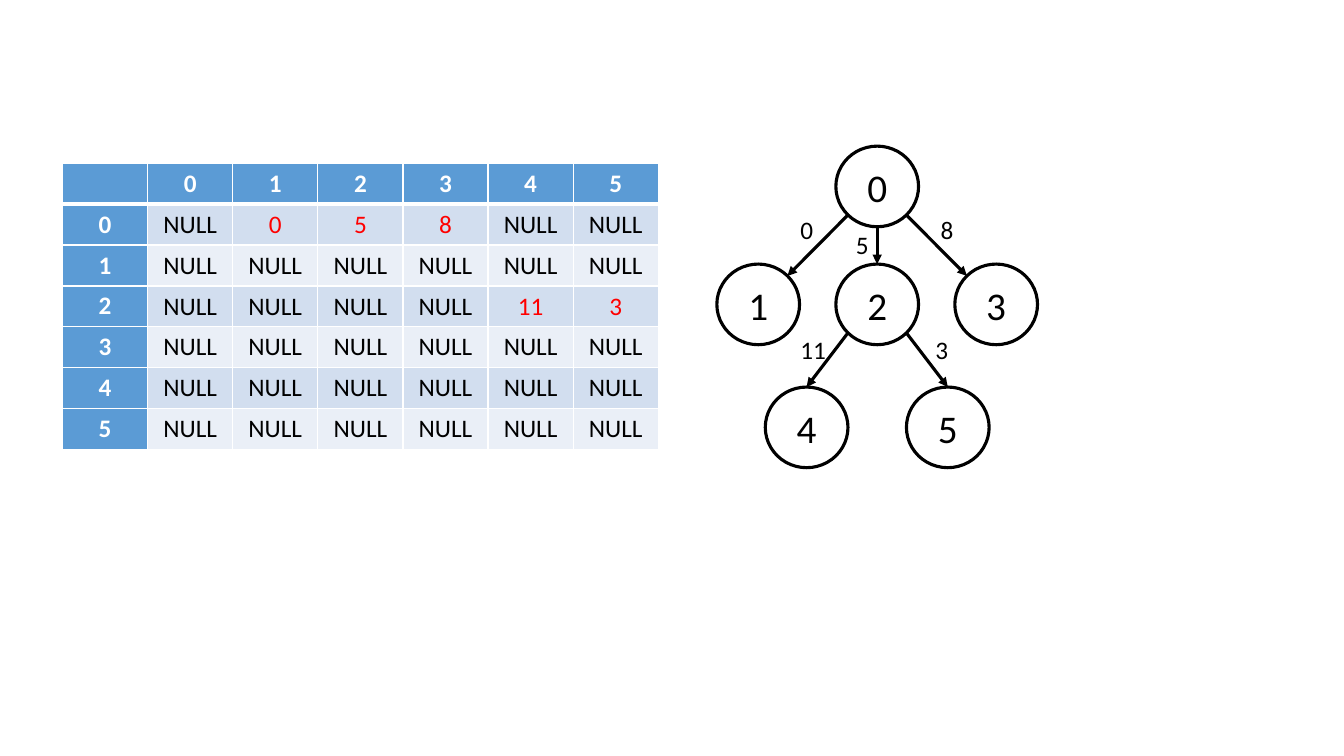
"""Build a slide showing a weighted tree beside its adjacency matrix."""
import math
from typing import NamedTuple

import lxml.etree
import pptx
import pptx.dml.color
import pptx.enum.shapes
import pptx.enum.text
import pptx.oxml.ns
import pptx.util

Inches = pptx.util.Inches
Pt = pptx.util.Pt
RGBColor = pptx.dml.color.RGBColor
qn = pptx.oxml.ns.qn

BLACK = RGBColor(0x00, 0x00, 0x00)
WHITE = RGBColor(0xFF, 0xFF, 0xFF)
RED = RGBColor(0xFF, 0x00, 0x00)
BLUE = RGBColor(0x5B, 0x9B, 0xD5)
BANDS = (RGBColor(0xD2, 0xDE, 0xEF), RGBColor(0xEA, 0xEF, 0xF7))

FONT = "Calibri"
NODE_W, NODE_H = 0.82, 0.8
LABEL_H = 0.4
TABLE_LEFT, TABLE_TOP, TABLE_W, ROW_H = 0.62, 1.62, 5.91, 0.4


class Node(NamedTuple):
    left: float
    top: float


class Edge(NamedTuple):
    parent: int
    child: int
    weight: int
    leave_angle: int
    enter_angle: int
    label_left: float
    label_top: float
    label_width: float = 0.41


NODES = [
    Node(8.29, 1.45),
    Node(7.11, 2.62),
    Node(8.29, 2.62),
    Node(9.47, 2.62),
    Node(7.59, 3.84),
    Node(8.99, 3.84),
]
EDGES = [
    Edge(0, 1, 0, 135, -45, 7.84, 2.08),
    Edge(0, 2, 5, 90, -90, 8.39, 2.23),
    Edge(0, 3, 8, 45, -135, 9.23, 2.08),
    Edge(2, 4, 11, 135, -90, 7.84, 3.27, 0.5),
    Edge(2, 5, 3, 45, -90, 9.18, 3.27),
]


def set_text(tf, text: str, size: int, color: RGBColor, bold: bool = False,
             align=pptx.enum.text.PP_ALIGN.CENTER) -> None:
    """Write one formatted line into a text frame."""
    tf.text = text
    p = tf.paragraphs[0]
    p.alignment = align
    p.font.size = Pt(size)
    for r in p.runs:
        r.font.name = FONT
        r.font.size = Pt(size)
        r.font.bold = bold
        r.font.color.rgb = color


def set_borders(cell, header: bool) -> None:
    """Give a cell white borders, thicker below the header."""
    tc_pr = cell._tc.get_or_add_tcPr()
    for side in "LRTB":
        width = 3 if header and side == "B" else 1
        ln = lxml.etree.SubElement(tc_pr, qn(f"a:ln{side}"), w=str(Pt(width)))
        fill = lxml.etree.SubElement(ln, qn("a:solidFill"))
        lxml.etree.SubElement(fill, qn("a:srgbClr"), val=str(WHITE))


def add_matrix(s) -> None:
    """Draw the adjacency matrix of the tree."""
    weights = {(e.parent, e.child): e.weight for e in EDGES}
    size = len(NODES) + 1
    table = s.shapes.add_table(
        size, size, Inches(TABLE_LEFT), Inches(TABLE_TOP),
        Inches(TABLE_W), Inches(ROW_H * size)).table
    table.first_col = True
    for row in range(size):
        table.rows[row].height = Inches(ROW_H)
        for col in range(size):
            cell = table.cell(row, col)
            set_borders(cell, row == 0)
            cell.fill.solid()
            if row == 0 or col == 0:
                cell.fill.fore_color.rgb = BLUE
                text = str(row + col - 1) if row + col else ""
                set_text(cell.text_frame, text, 18, WHITE, True)
                continue
            cell.fill.fore_color.rgb = BANDS[(row - 1) % 2]
            cell.vertical_anchor = pptx.enum.text.MSO_ANCHOR.MIDDLE
            weight = weights.get((row - 1, col - 1))
            if weight is None:
                set_text(cell.text_frame, "NULL", 18, BLACK)
            else:
                set_text(cell.text_frame, str(weight), 18, RED)


def add_node(s, node: Node, name: str) -> None:
    """Draw one circled node."""
    sp = s.shapes.add_shape(
        pptx.enum.shapes.MSO_SHAPE.OVAL, Inches(node.left), Inches(node.top),
        Inches(NODE_W), Inches(NODE_H))
    sp.shadow.inherit = False
    sp.fill.background()
    sp.line.color.rgb = BLACK
    sp.line.width = Pt(2.25)
    sp.text_frame.vertical_anchor = pptx.enum.text.MSO_ANCHOR.MIDDLE
    set_text(sp.text_frame, name, 28, BLACK)


def rim_point(node: Node, angle: int) -> tuple[int, int]:
    """Return the point on a node's rim at a clockwise angle from the right."""
    a = math.radians(angle)
    return (Inches(node.left + NODE_W / 2 * (1 + math.cos(a))),
            Inches(node.top + NODE_H / 2 * (1 + math.sin(a))))


def add_edge(s, edge: Edge) -> None:
    """Draw one arrow and its weight."""
    line = s.shapes.add_connector(
        pptx.enum.shapes.MSO_CONNECTOR.STRAIGHT,
        *rim_point(NODES[edge.parent], edge.leave_angle),
        *rim_point(NODES[edge.child], edge.enter_angle))
    line.line.color.rgb = BLACK
    line.line.width = Pt(2.25)
    lxml.etree.SubElement(line.line._get_or_add_ln(), qn("a:tailEnd"), type="triangle")
    lxml.etree.SubElement(line._element.spPr, qn("a:effectLst"))

    label = s.shapes.add_textbox(
        Inches(edge.label_left), Inches(edge.label_top),
        Inches(edge.label_width), Inches(LABEL_H))
    tf = label.text_frame
    tf.word_wrap = True
    tf.auto_size = pptx.enum.text.MSO_AUTO_SIZE.SHAPE_TO_FIT_TEXT
    set_text(tf, str(edge.weight), 18, BLACK, align=pptx.enum.text.PP_ALIGN.LEFT)


def main() -> None:
    """Build and save the slide."""
    prs = pptx.Presentation()
    prs.slide_width = Inches(13.33)
    prs.slide_height = Inches(7.5)
    s = prs.slides.add_slide(prs.slide_layouts[6])
    add_matrix(s)
    for i, node in enumerate(NODES):
        add_node(s, node, str(i))
    for edge in EDGES:
        add_edge(s, edge)
    prs.save("out.pptx")


if __name__ == "__main__":
    main()
